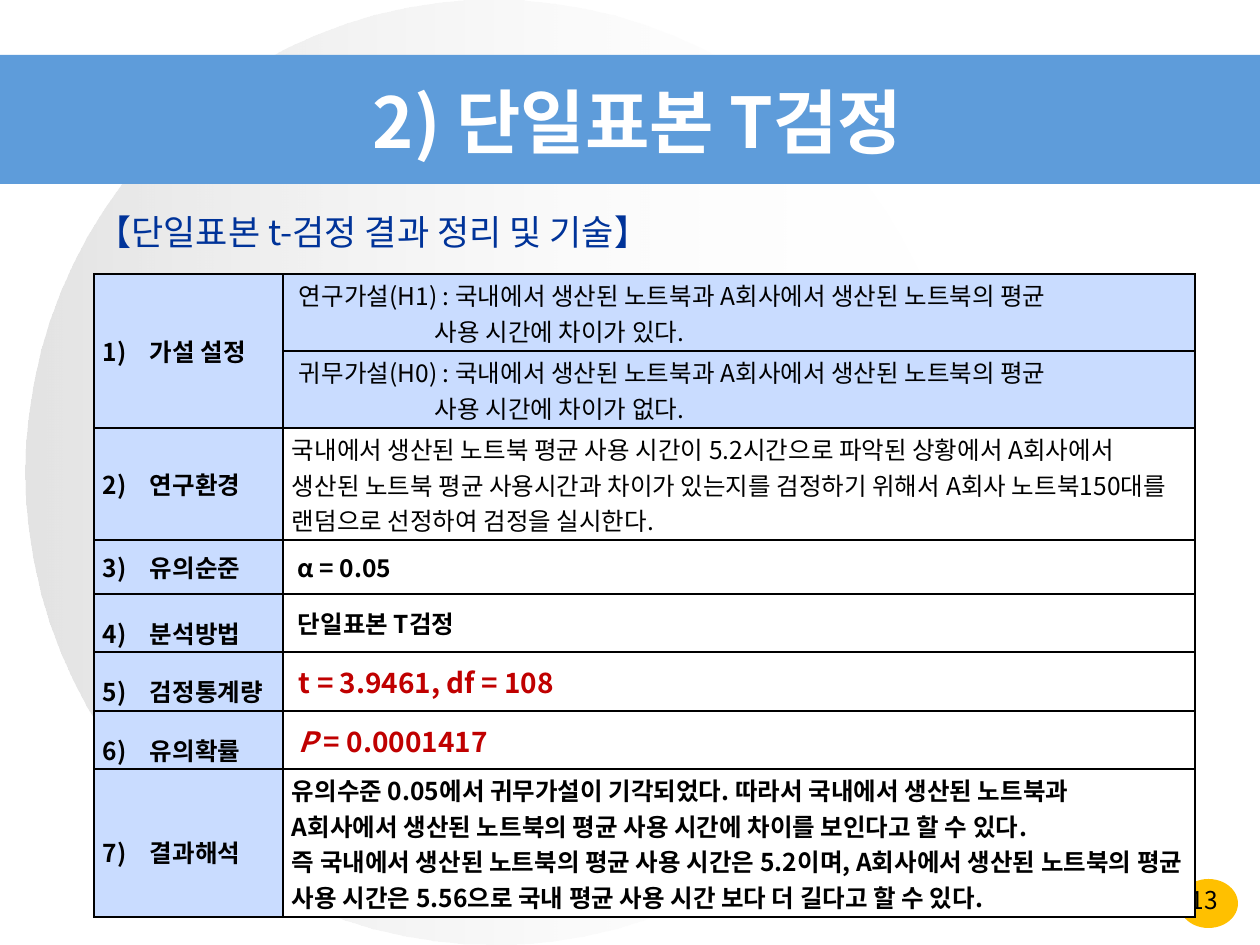
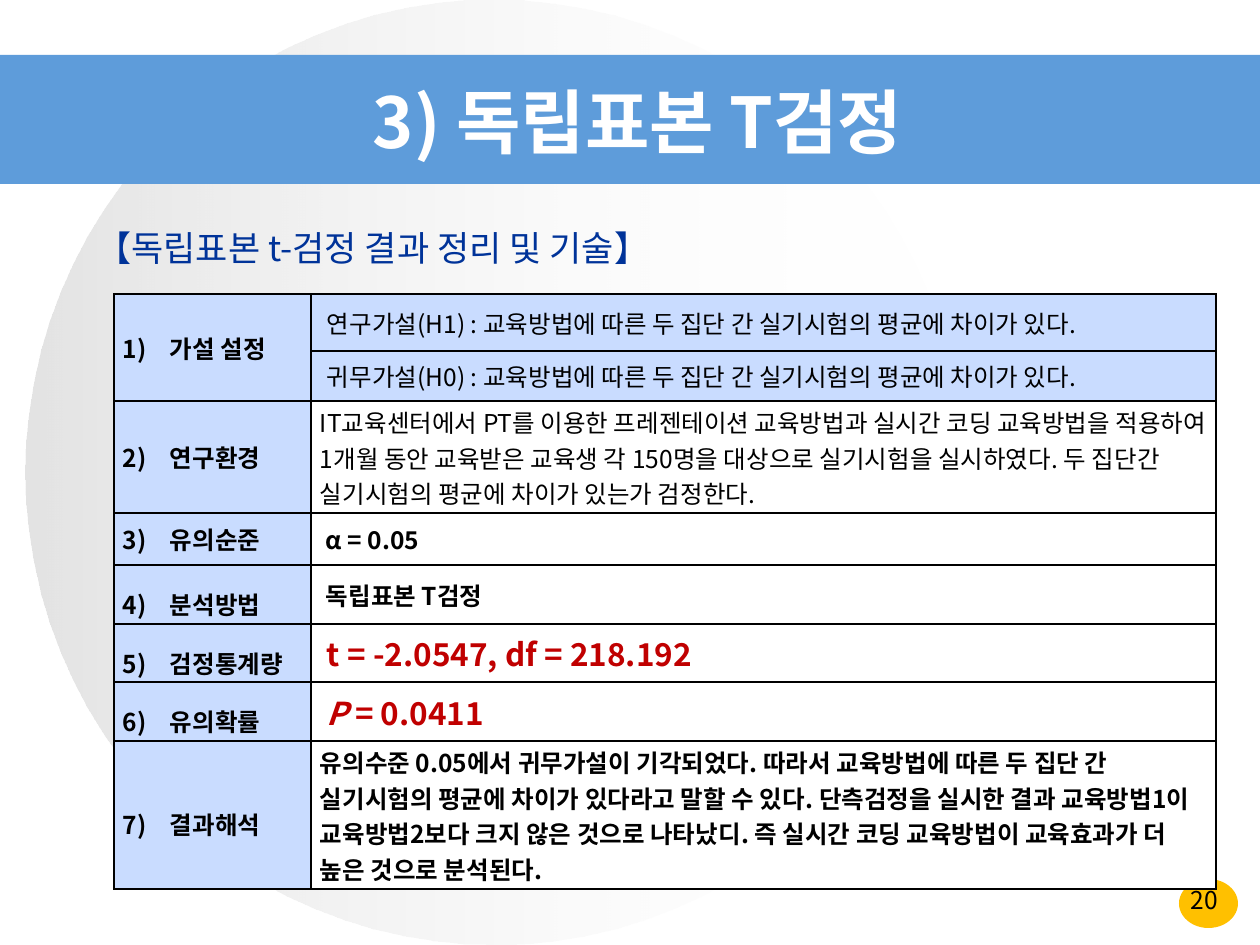
from dataclasses import dataclass

from lxml.etree import SubElement
from pptx import Presentation
from pptx.dml.color import RGBColor
from pptx.enum.shapes import MSO_SHAPE
from pptx.enum.text import MSO_ANCHOR, PP_ALIGN
from pptx.oxml.ns import qn
from pptx.util import Pt

PX = 914400 / 126


@dataclass(frozen=True)
class Theme:
    font: str = "Noto Sans CJK KR"
    band: str = "5E9CDA"
    badge: str = "FFC000"
    disc: str = "C0C0C0"
    heading: str = "003399"
    label: str = "C9DCFF"
    white: str = "FFFFFF"
    ink: str = "000000"
    accent: str = "C00000"
    title_size: int = 40
    heading_size: int = 20
    body_size: int = 14


THEME = Theme()

LABELS = ["가설 설정", "연구환경", "유의순준", "분석방법", "검정통계량", "유의확률", "결과해석"]
FIRST_TALL_LABEL = 4

SLIDES = [
    {
        "title": "2) 단일표본 T검정",
        "number": "13",
        "heading": "【단일표본 t-검정 결과 정리 및 기술】",
        "heading_top": 204,
        "table_at": (94, 274),
        "columns": (189, 912),
        "rows": (77, 77, 112, 54, 58, 59, 58, 148),
        "statistic_size": 16,
        "hypotheses": [
            ["연구가설(H1) : 국내에서 생산된 노트북과 A회사에서 생산된 노트북의 평균",
             "사용 시간에 차이가 있다."],
            ["귀무가설(H0) : 국내에서 생산된 노트북과 A회사에서 생산된 노트북의 평균",
             "사용 시간에 차이가 없다."],
        ],
        "setting": "국내에서 생산된 노트북 평균 사용 시간이 5.2시간으로 파악된 상황에서 A회사에서 "
                   "생산된 노트북 평균 사용시간과 차이가 있는지를 검정하기 위해서 A회사 노트북150"
                   "대를 랜덤으로 선정하여 검정을 실시한다.",
        "level": "α = 0.05",
        "method": "단일표본 T검정",
        "statistic": "t = 3.9461, df = 108",
        "probability": ("P", " = 0.0001417"),
        "reading": [
            "유의수준 0.05에서 귀무가설이 기각되었다. 따라서 국내에서 생산된 노트북과",
            "A회사에서 생산된 노트북의 평균 사용 시간에 차이를 보인다고 할 수 있다.",
            "즉 국내에서 생산된 노트북의 평균 사용 시간은 5.2이며, A회사에서 생산된 노트북의 "
            "평균 사용 시간은 5.56으로 국내 평균 사용 시간 보다 더 길다고 할 수 있다.",
        ],
    },
    {
        "title": "3) 독립표본 T검정",
        "number": "20",
        "heading": "【독립표본 t-검정 결과 정리 및 기술】",
        "heading_top": 220,
        "table_at": (114, 294),
        "columns": (197, 905),
        "rows": (57, 50, 112, 52, 59, 58, 59, 148),
        "statistic_size": 18,
        "hypotheses": [
            ["연구가설(H1) : 교육방법에 따른 두 집단 간 실기시험의 평균에 차이가 있다."],
            ["귀무가설(H0) : 교육방법에 따른 두 집단 간 실기시험의 평균에 차이가 있다."],
        ],
        "setting": "IT교육센터에서 PT를 이용한 프레젠테이션 교육방법과 실시간 코딩 교육방법을 "
                   "적용하여 1개월 동안 교육받은 교육생 각 150명을 대상으로 실기시험을 실시하였다. "
                   "두 집단간 실기시험의 평균에 차이가 있는가 검정한다.",
        "level": "α = 0.05",
        "method": "독립표본 T검정",
        "statistic": "t = -2.0547, df = 218.192",
        "probability": ("P", " = 0.0411"),
        "reading": [
            "유의수준 0.05에서 귀무가설이 기각되었다. 따라서 교육방법에 따른 두 집단 간 "
            "실기시험의 평균에 차이가 있다라고 말할 수 있다. 단측검정을 실시한 결과 교육방법1"
            "이 교육방법2보다 크지 않은 것으로 나타났디. 즉 실시간 코딩 교육방법이 교육효과가 "
            "더 높은 것으로 분석된다.",
        ],
    },
]


def px(length):
    return round(length * PX)


def rgb(color):
    return RGBColor.from_string(color)


def style(paragraph, size=THEME.body_size, color=THEME.ink, bold=False,
          align=PP_ALIGN.LEFT, margin=0):
    paragraph.alignment = align
    font = paragraph.font
    font.size, font.bold, font.name = Pt(size), bold, THEME.font
    font.color.rgb = rgb(color)
    properties = paragraph._p.get_or_add_pPr()
    SubElement(properties.find(qn("a:defRPr")), qn("a:ea"), typeface=THEME.font)
    properties.set("marL", str(px(margin)))
    properties.set("indent", "0")
    return properties


def number_label(paragraph, number):
    if number >= FIRST_TALL_LABEL:
        paragraph.line_spacing = 1.5
    properties = style(paragraph, bold=True, margin=47)
    properties.set("indent", str(px(-47)))
    bullet = SubElement(properties, qn("a:buAutoNum"), type="arabicParenR", startAt=str(number))
    properties.find(qn("a:defRPr")).addprevious(bullet)


def add_text(page, text, left, top, width, height, anchor=MSO_ANCHOR.TOP, **look):
    box = page.shapes.add_textbox(px(left), px(top), px(width), px(height))
    box.text_frame.word_wrap = True
    box.text_frame.vertical_anchor = anchor
    box.text_frame.text = text
    style(box.text_frame.paragraphs[0], **look)


def add_plain(page, kind, left, top, width, height, color):
    shape = page.shapes.add_shape(kind, px(left), px(top), px(width), px(height))
    shape.shadow.inherit = False
    shape.line.fill.background()
    shape.fill.solid()
    shape.fill.fore_color.rgb = rgb(color)
    return shape


def add_backdrop(page):
    add_plain(page, MSO_SHAPE.OVAL, 1179, 879, 59, 49, THEME.badge)
    disc = add_plain(page, MSO_SHAPE.OVAL, 25, 0, 937, 945, THEME.disc)
    disc.fill.gradient()
    disc.fill.gradient_angle = 0
    stops = zip(disc.fill.gradient_stops, (THEME.disc, THEME.white), (0, 1))
    for stop, color, position in stops:
        stop.color.rgb = rgb(color)
        stop.position = position
    for color, opacity in zip(disc._element.spPr.iter(qn("a:srgbClr")), (44000, 0)):
        SubElement(color, qn("a:alpha"), val=str(opacity))
    add_plain(page, MSO_SHAPE.RECTANGLE, 0, 55, 1260, 129, THEME.band)


def dress(cell, color):
    cell.vertical_anchor = MSO_ANCHOR.MIDDLE
    cell.margin_left = cell.margin_right = px(9)
    cell.margin_top = cell.margin_bottom = px(3)
    properties = cell._tc.get_or_add_tcPr()
    for side in ("lnL", "lnR", "lnT", "lnB"):
        border = SubElement(properties, qn(f"a:{side}"), w=str(Pt(1)))
        SubElement(SubElement(border, qn("a:solidFill")), qn("a:srgbClr"), val=THEME.ink)
    cell.fill.solid()
    cell.fill.fore_color.rgb = rgb(color)


def write(cell, lines, **look):
    cell.text_frame.text = "\n".join(lines)
    for paragraph in cell.text_frame.paragraphs:
        style(paragraph, **look)


def add_result_table(page, content):
    columns, rows = content["columns"], content["rows"]
    left, top = content["table_at"]
    frame = page.shapes.add_table(len(rows), 2, px(left), px(top), px(sum(columns)), px(sum(rows)))
    table = frame.table
    table.first_row = table.horz_banding = False
    for column, width in zip(table.columns, columns):
        column.width = px(width)
    for row, height in zip(table.rows, rows):
        row.height = px(height)

    hypotheses = content["hypotheses"]
    for index in range(len(rows)):
        dress(table.cell(index, 0), THEME.label)
        dress(table.cell(index, 1), THEME.label if index < len(hypotheses) else THEME.white)
    table.cell(0, 0).merge(table.cell(1, 0))
    for number, label in enumerate(LABELS, 1):
        cell = table.cell(0 if number == 1 else number, 0)
        cell.text_frame.text = label
        number_label(cell.text_frame.paragraphs[0], number)

    for index, lines in enumerate(hypotheses):
        cell = table.cell(index, 1)
        write(cell, lines, align=PP_ALIGN.JUSTIFY, margin=7)
        for paragraph in cell.text_frame.paragraphs[1:]:
            paragraph._p.pPr.set("marL", str(px(143)))

    red = {"size": content["statistic_size"], "color": THEME.accent, "bold": True, "margin": 7}
    write(table.cell(2, 1), [content["setting"]])
    write(table.cell(3, 1), [content["level"]], bold=True, margin=6)
    write(table.cell(4, 1), [content["method"]], bold=True, margin=6)
    write(table.cell(5, 1), [content["statistic"]], **red)
    paragraph = table.cell(6, 1).text_frame.paragraphs[0]
    for text, italic in zip(content["probability"], (True, False)):
        span = paragraph.add_run()
        span.text, span.font.italic = text, italic
    style(paragraph, **red)
    write(table.cell(7, 1), content["reading"], bold=True)


def main():
    deck = Presentation()
    deck.slide_width, deck.slide_height = px(1260), px(945)
    for content in SLIDES:
        page = deck.slides.add_slide(deck.slide_layouts[6])
        add_backdrop(page)
        add_text(page, content["title"], 15, 73, 1245, 95, MSO_ANCHOR.MIDDLE,
                 size=THEME.title_size, color=THEME.white, bold=True, align=PP_ALIGN.CENTER)
        add_text(page, content["number"], 1149, 879, 111, 37, align=PP_ALIGN.CENTER)
        add_text(page, content["heading"], 84, content["heading_top"], 645, 63,
                 size=THEME.heading_size, color=THEME.heading)
        add_result_table(page, content)
    deck.save("out.pptx")


if __name__ == "__main__":
    main()
